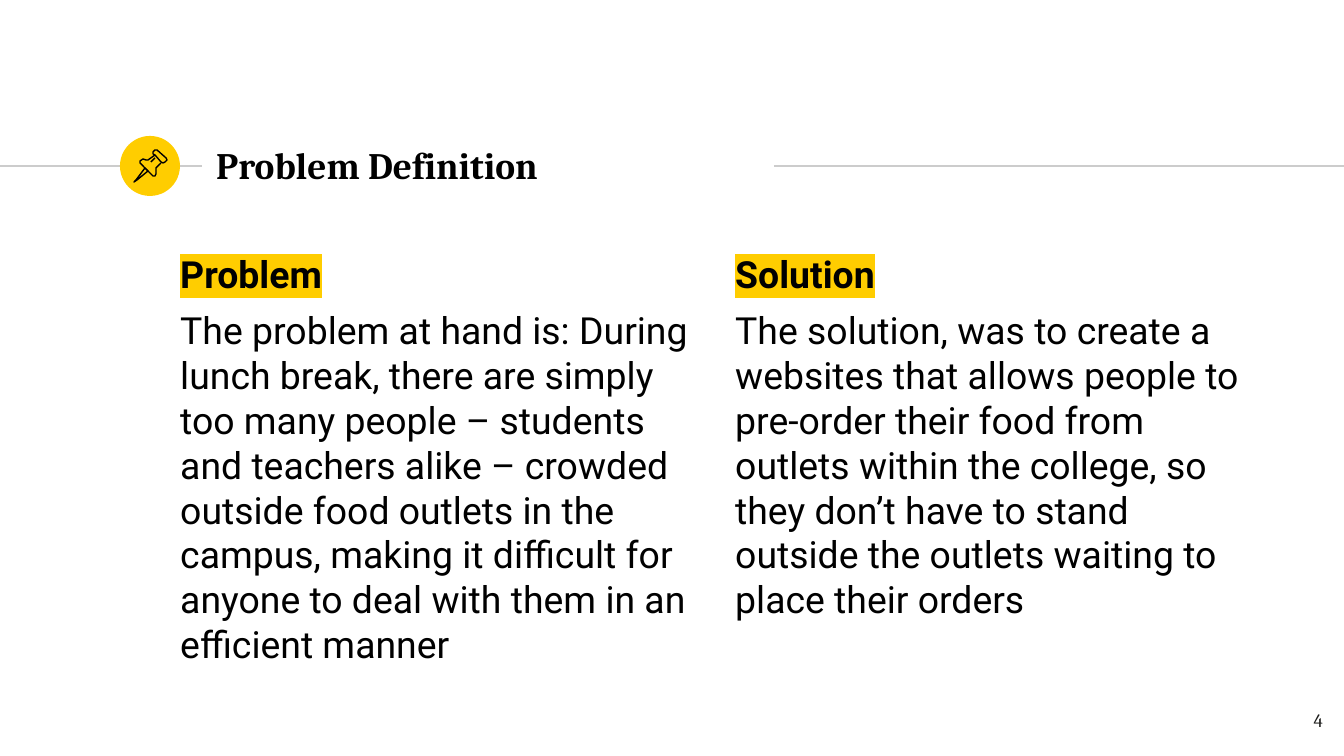
import lxml.etree
import pptx
import pptx.dml.color
import pptx.enum.shapes
import pptx.enum.text
import pptx.oxml.ns
import pptx.util

EMU_PER_PX = 914400 / 134.4
COLORS = {"black": "000000", "yellow": "FFCD00", "rule": "CCCCCC", "number": "1D1D1B"}

COLUMNS = [
    (167, 555, "Problem",
     "The problem at hand is: During lunch break, there are simply too many people – "
     "students and teachers alike – crowded outside food outlets in the campus, making "
     "it difficult for anyone to deal with them in an efficient manner"),
    (722, 535, "Solution",
     "The solution, was to create a websites that allows people to pre-order their food "
     "from outlets within the college, so they don’t have to stand outside the outlets "
     "waiting to place their orders"),
]

# Outlines of the pushpin: points and whether the outline is closed
PIN_PARTS = [
    ([(145, 168), (136, 180), (134, 182), (137, 180), (148, 171)], True),  # needle
    ([(155, 155), (161, 162), (163, 163), (165, 162), (167, 160), (166, 158),
      (157, 150), (155, 150), (153, 152), (153, 154)], True),  # cap
    ([(155, 155), (148, 160), (146, 160), (143, 159), (140, 161), (140, 163),
      (153, 176), (155, 176), (156, 174), (156, 168), (161, 163)], False),  # body
    ([(151, 162), (155, 158)], False),  # glint
]


def px(length):
    return pptx.util.Emu(round(length * EMU_PER_PX))


def color(name):
    return pptx.dml.color.RGBColor.from_string(COLORS[name])


def add_rule(page, left, right, y):
    rule = page.shapes.add_connector(
        pptx.enum.shapes.MSO_CONNECTOR.STRAIGHT, px(left), px(y), px(right), px(y))
    rule.line.color.rgb = color("rule")
    rule.line.width = pptx.util.Pt(0.75)
    lxml.etree.SubElement(rule._element.spPr, pptx.oxml.ns.qn("a:effectLst"))


def add_disc(page, left, top, size):
    disc = page.shapes.add_shape(
        pptx.enum.shapes.MSO_SHAPE.OVAL, px(left), px(top), px(size), px(size))
    disc.shadow.inherit = False
    disc.fill.solid()
    disc.fill.fore_color.rgb = color("yellow")
    disc.line.fill.background()


def add_outline(page, points, closed):
    builder = page.shapes.build_freeform(*points[0], scale=EMU_PER_PX)
    builder.add_line_segments(points[1:], close=closed)
    outline = builder.convert_to_shape()
    outline.shadow.inherit = False
    outline.fill.background()
    outline.line.color.rgb = color("black")
    outline.line.width = pptx.util.Pt(0.75)


def add_box(page, left, top, width, height, anchor=pptx.enum.text.MSO_ANCHOR.TOP):
    box = page.shapes.add_textbox(px(left), px(top), px(width), px(height))
    frame = box.text_frame
    frame.word_wrap = True
    frame.vertical_anchor = anchor
    frame.margin_left = frame.margin_right = pptx.util.Inches(0.1)
    frame.margin_top = frame.margin_bottom = pptx.util.Inches(0.1)
    return frame


def write(para, text, font="Roboto", size=20, bold=False, ink="black",
          highlight=None, before=0, align=pptx.enum.text.PP_ALIGN.LEFT):
    para.alignment = align
    para.space_before = pptx.util.Pt(before)
    span = para.add_run()
    span.text = text
    span.font.name = font
    span.font.size = pptx.util.Pt(size)
    span.font.bold = bold
    span.font.color.rgb = color(ink)
    if highlight:
        qn = pptx.oxml.ns.qn
        mark = lxml.etree.Element(qn("a:highlight"))
        lxml.etree.SubElement(mark, qn("a:srgbClr"), val=COLORS[highlight])
        span.font._element.find(qn("a:solidFill")).addnext(mark)


def main():
    deck = pptx.Presentation()
    deck.slide_width, deck.slide_height = px(1344), px(756)
    page = deck.slides.add_slide(deck.slide_layouts[6])

    # Header rule with the pin badge
    add_rule(page, 0, 202, 166)
    add_disc(page, 120, 136, 60)
    add_rule(page, 774, 1344, 166)
    for points, closed in PIN_PARTS:
        add_outline(page, points, closed)

    # Title
    title = add_box(page, 203, 132, 570, 65, anchor=pptx.enum.text.MSO_ANCHOR.MIDDLE)
    write(title.paragraphs[0], "Problem Definition", font="Cambria", bold=True)

    # Two text columns
    for left, width, heading, body in COLUMNS:
        column = add_box(page, left, 238, width, 474)
        write(column.paragraphs[0], heading, bold=True, highlight="yellow", before=6)
        write(column.add_paragraph(), body, before=6)

    # Page number
    number = add_box(page, 1255, 698, 81, 58)
    write(number.paragraphs[0], "4", font="Cambria", size=10, ink="number",
          align=pptx.enum.text.PP_ALIGN.RIGHT)

    deck.save("out.pptx")


if __name__ == "__main__":
    main()
